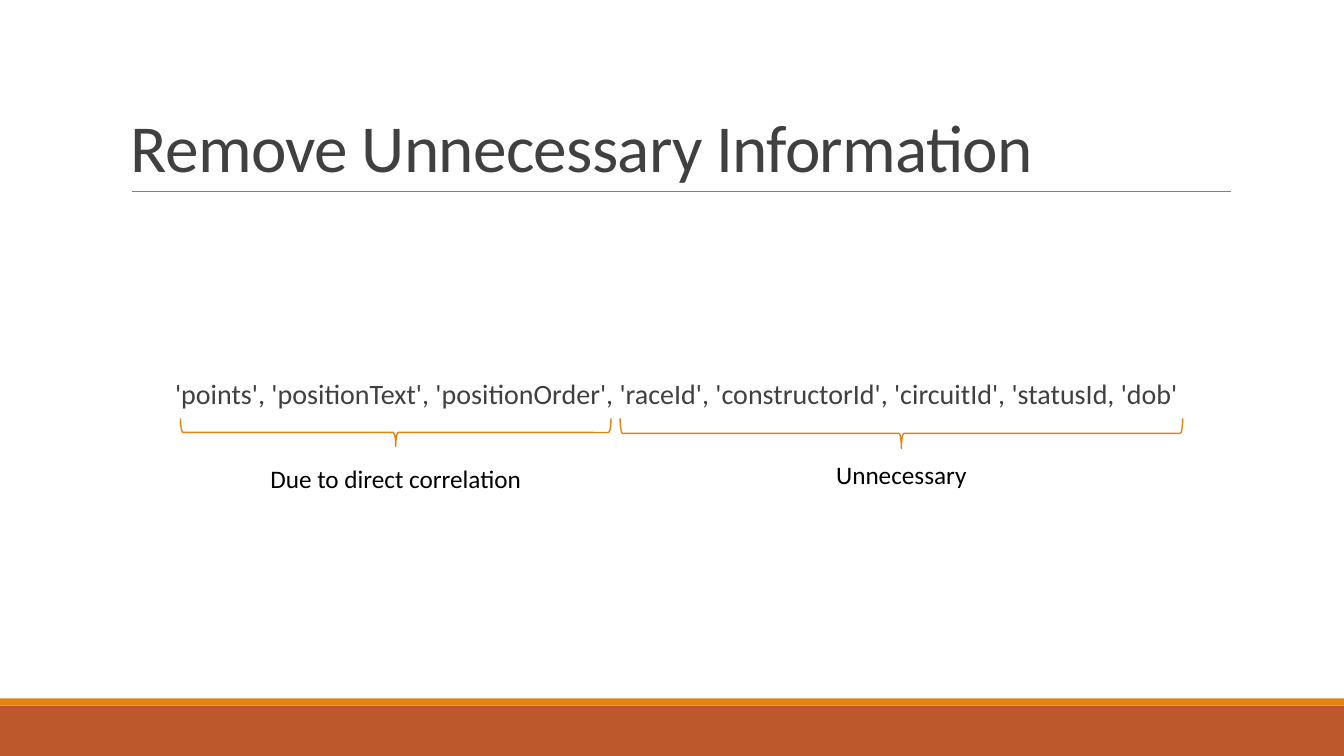
from pptx import Presentation
from pptx.dml.color import RGBColor
from pptx.enum.shapes import MSO_CONNECTOR as Link, MSO_SHAPE as Shape
from pptx.enum.text import MSO_ANCHOR as Anchor, PP_ALIGN as Align
from pptx.util import Pt
from lxml.etree import SubElement
from pptx.oxml.ns import qn

WIDE, HIGH = 1333, 750
ORANGE, RUST, GREY, DARK = "E48312", "BD582C", "808080", "404040"


def px(n):
    """Turn px, at 100 to the inch, into EMU."""
    return round(n * 9144)


def tint(code):
    """Turn a hex string into a colour."""
    return RGBColor.from_string(code)


def write(slide, box, words, size, color, align=Align.CENTER, lead=1.0):
    """Place one line of text in a box and return its frame."""
    frame = slide.shapes.add_textbox(*map(px, box)).text_frame
    frame.word_wrap = True
    para = frame.paragraphs[0]
    para.text = words
    para.alignment = align
    para.line_spacing = lead
    font = para.font
    font.name, font.size = "Calibri", Pt(size)
    font.color.rgb = tint(color)
    return frame


def head(slide, box, words):
    """Draw the title with the rule at its foot."""
    x, y, w, h = box
    frame = write(slide, box, words, 48, DARK, Align.LEFT, 0.85)
    frame.vertical_anchor = Anchor.BOTTOM
    run = frame.paragraphs[0].runs[0]
    run.font._element.set("spc", "-50")
    ends = x + 11, y + h, x + w + 1, y + h
    rule = slide.shapes.add_connector(Link.STRAIGHT, *map(px, ends))
    rule.line.color.rgb = tint(GREY)
    rule.line.width = Pt(0.5)
    SubElement(rule._element.spPr, qn("a:effectLst"))


def foot(slide, box):
    """Draw the footer band with its thin upper strip."""
    x, y, w, h = box
    strip = 7
    for top, tall, color in ((y + strip, h - strip, RUST), (y, strip, ORANGE)):
        bar = slide.shapes.add_shape(
            Shape.RECTANGLE, *map(px, (x, top, w, tall)))
        bar.shadow.inherit = False
        bar.fill.solid()
        bar.fill.fore_color.rgb = tint(color)
        bar.line.fill.background()


def fields(slide, box, words):
    """Write the list of column names."""
    frame = write(slide, box, words, 20, DARK, lead=0.8)
    frame.margin_left, frame.margin_right = px(10), 0


def group(slide, box, drop, words):
    """Draw a brace that opens upward, with a label under its middle."""
    x, y, w, h = box
    mid = x + w / 2
    brace = slide.shapes.add_shape(
        Shape.RIGHT_BRACE, px(mid - h / 2), px(y + h / 2 - w / 2), px(h), px(w))
    brace.rotation = 90
    brace.shadow.inherit = False
    brace.fill.background()
    brace.line.color.rgb = tint(ORANGE)
    brace.line.width = Pt(1)
    wide = 275
    write(slide, (mid - wide / 2, y + drop, wide, 40), words, 18, "000000")


def main():
    """Build the slide and save it."""
    deck = Presentation()
    deck.slide_width, deck.slide_height = px(WIDE), px(HIGH)
    slide = deck.slides.add_slide(deck.slide_layouts[6])
    foot(slide, (0, 693, WIDE, HIGH - 693))
    head(slide, (120, 31, 1100, 159), "Remove Unnecessary Information")
    fields(slide, (0, 375, WIDE, 40),
           "'points', 'positionText', 'positionOrder', 'raceId', "
           "'constructorId', 'circuitId', 'statusId, 'dob'")
    group(slide, (179, 415, 427, 28), 40, "Due to direct correlation")
    group(slide, (615, 415, 558, 30), 36, "Unnecessary")
    deck.save("out.pptx")


if __name__ == "__main__":
    main()
